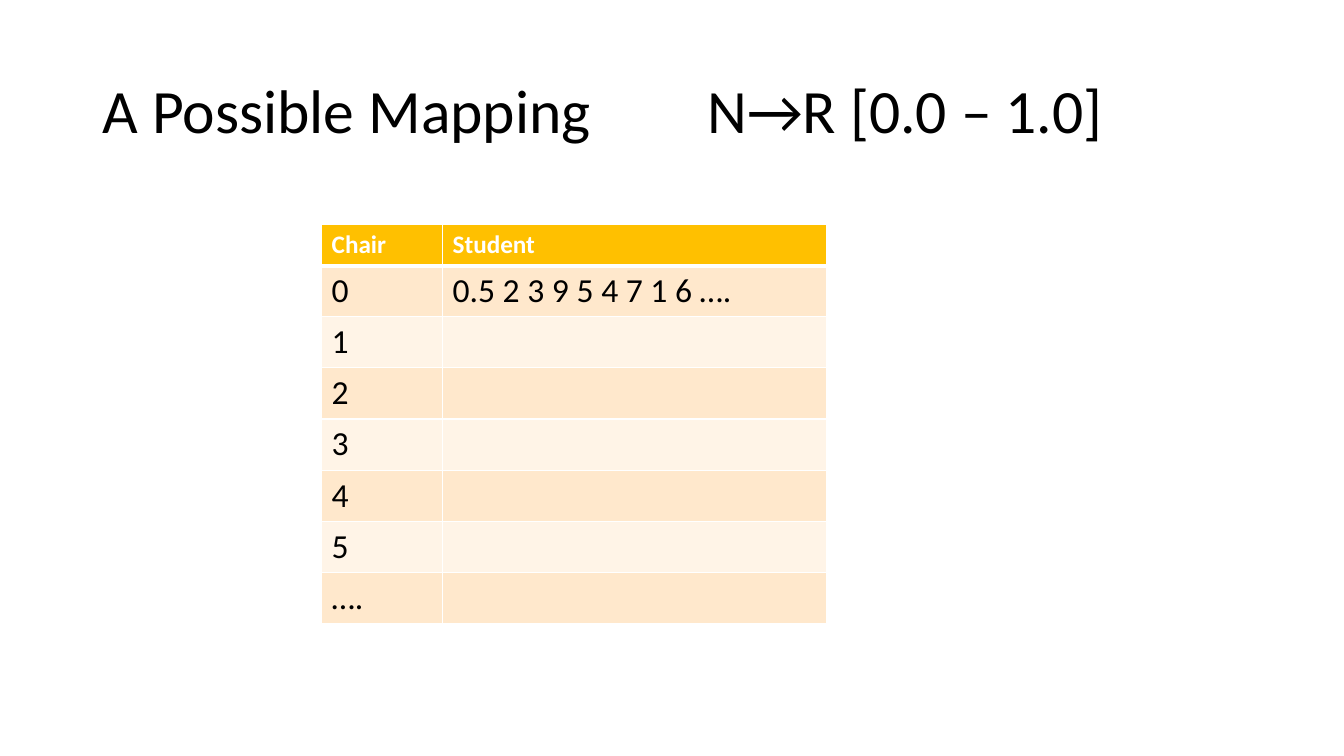
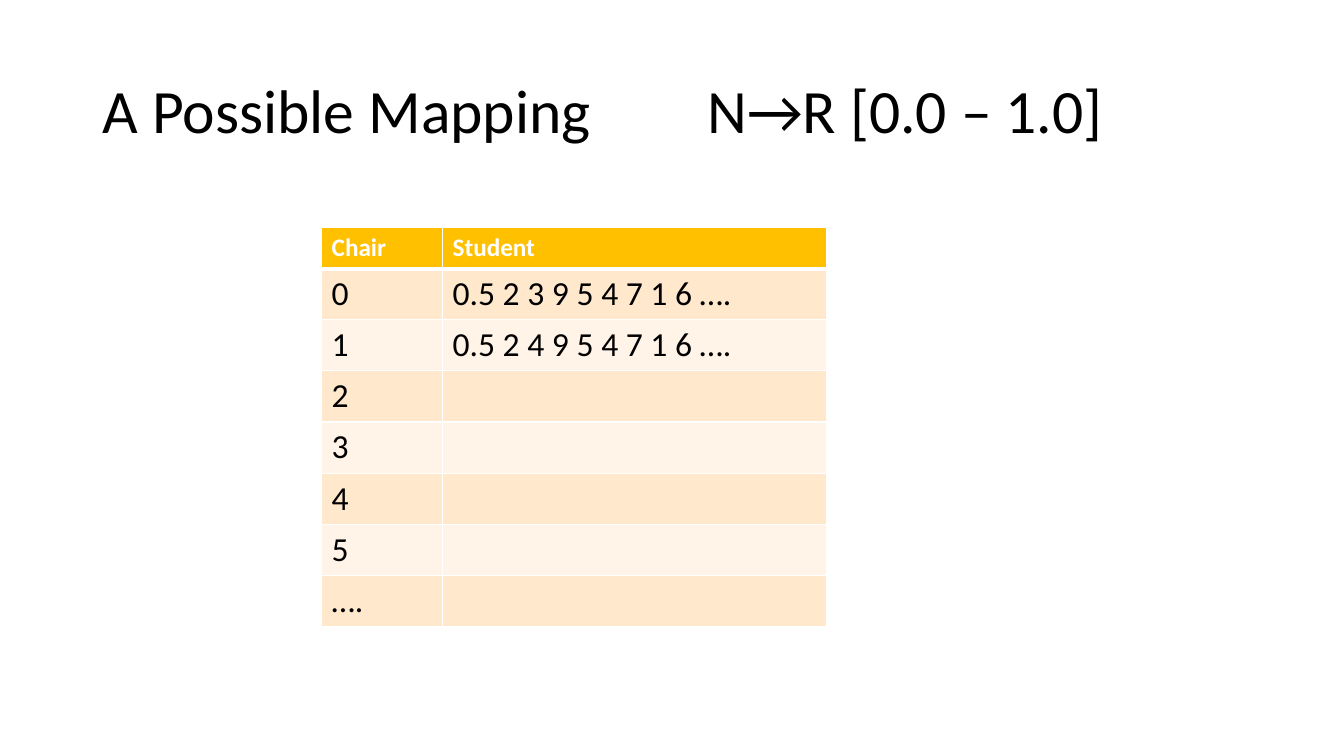
from dataclasses import dataclass

from lxml.etree import SubElement
from pptx import Presentation
from pptx.dml.color import RGBColor
from pptx.enum.text import MSO_ANCHOR, PP_ALIGN
from pptx.oxml.ns import qn
from pptx.presentation import Presentation as Deck
from pptx.slide import Slide
from pptx.table import _Cell as Cell
from pptx.util import Inches, Pt

SLIDE_WIDTH = Inches(13.33)
SLIDE_HEIGHT = Inches(7.5)
FONT = "Calibri"
BLACK, WHITE, GOLD = "000000", "FFFFFF", "FFC000"
BANDS = ("FFE8CC", "FFF4E7")

TITLE = "A Possible Mapping\t\tN→R [0.0 – 1.0]"
TITLE_TABS = (5, 6)
HEADINGS = ("Chair", "Student")
CHAIRS = ("0", "1", "2", "3", "4", "5", "….")

TABLE_LEFT = 23.93
COLUMN_WIDTHS = (9, 28.6)
HEADER_HEIGHT = 5.33
ROW_HEIGHT = 6.67
THIN, THICK = 1, 3


@dataclass(frozen=True)
class MappingSlide:
    table_top: float
    students: tuple[str, ...]


@dataclass(frozen=True)
class CellStyle:
    fill: str
    color: str
    size: int
    bold: bool
    top: int
    bottom: int


MAPPINGS = (
    MappingSlide(29.73, ("0.5 2 3 9 5 4 7 1 6 ….",)),
    MappingSlide(30.13, ("0.5 2 3 9 5 4 7 1 6 ….", "0.5 2 4 9 5 4 7 1 6 ….")),
)


def across(percent: float) -> int:
    return round(SLIDE_WIDTH * percent / 100)


def down(percent: float) -> int:
    return round(SLIDE_HEIGHT * percent / 100)


def rgb(color: str) -> RGBColor:
    return RGBColor.from_string(color)


def add_title(page: Slide) -> None:
    title = page.shapes.title
    title.left, title.top = across(6.88), down(5.33)
    title.width, title.height = across(86.25), down(19.33)
    frame = title.text_frame
    frame.text = TITLE
    frame.word_wrap = True
    frame.vertical_anchor = MSO_ANCHOR.MIDDLE
    para = frame.paragraphs[0]
    para.alignment = PP_ALIGN.LEFT
    para.line_spacing = 0.9
    tabs = SubElement(para._p.get_or_add_pPr(), qn("a:tabLst"))
    for inches in TITLE_TABS:
        SubElement(tabs, qn("a:tab"), pos=str(Inches(inches)), algn="l")
    para.font.name = FONT
    para.font.size = Pt(44)
    para.font.color.rgb = rgb(BLACK)


def add_borders(cell: Cell, style: CellStyle) -> None:
    properties = cell._tc.get_or_add_tcPr()
    widths = {"lnL": THIN, "lnR": THIN, "lnT": style.top, "lnB": style.bottom}
    for side, width in widths.items():
        line = SubElement(properties, qn(f"a:{side}"), w=str(Pt(width)))
        fill = SubElement(line, qn("a:solidFill"))
        SubElement(fill, qn("a:srgbClr"), val=WHITE)


def fill_cell(cell: Cell, text: str, style: CellStyle) -> None:
    add_borders(cell, style)
    cell.fill.solid()
    cell.fill.fore_color.rgb = rgb(style.fill)
    cell.text = text
    font = cell.text_frame.paragraphs[0].font
    font.name = FONT
    font.size = Pt(style.size)
    font.bold = style.bold
    font.color.rgb = rgb(style.color)


def row_style(row: int) -> CellStyle:
    if row == 0:
        return CellStyle(GOLD, WHITE, 18, True, THIN, THICK)
    top = THICK if row == 1 else THIN
    return CellStyle(BANDS[(row - 1) % 2], BLACK, 24, False, top, THIN)


def add_mapping_table(page: Slide, mapping: MappingSlide) -> None:
    blanks = ("",) * (len(CHAIRS) - len(mapping.students))
    rows = [HEADINGS, *zip(CHAIRS, mapping.students + blanks)]
    table = page.shapes.add_table(
        len(rows), len(HEADINGS),
        across(TABLE_LEFT), down(mapping.table_top),
        across(sum(COLUMN_WIDTHS)), down(HEADER_HEIGHT + ROW_HEIGHT * len(CHAIRS)),
    ).table
    for column, width in zip(table.columns, COLUMN_WIDTHS):
        column.width = across(width)
    for index, texts in enumerate(rows):
        table.rows[index].height = down(ROW_HEIGHT if index else HEADER_HEIGHT)
        for column, text in enumerate(texts):
            fill_cell(table.cell(index, column), text, row_style(index))


def add_mapping_slide(deck: Deck, mapping: MappingSlide) -> None:
    page = deck.slides.add_slide(deck.slide_layouts.get_by_name("Title Only"))
    add_title(page)
    add_mapping_table(page, mapping)


def main() -> None:
    deck = Presentation()
    deck.slide_width, deck.slide_height = SLIDE_WIDTH, SLIDE_HEIGHT
    for mapping in MAPPINGS:
        add_mapping_slide(deck, mapping)
    deck.save("out.pptx")


if __name__ == "__main__":
    main()
